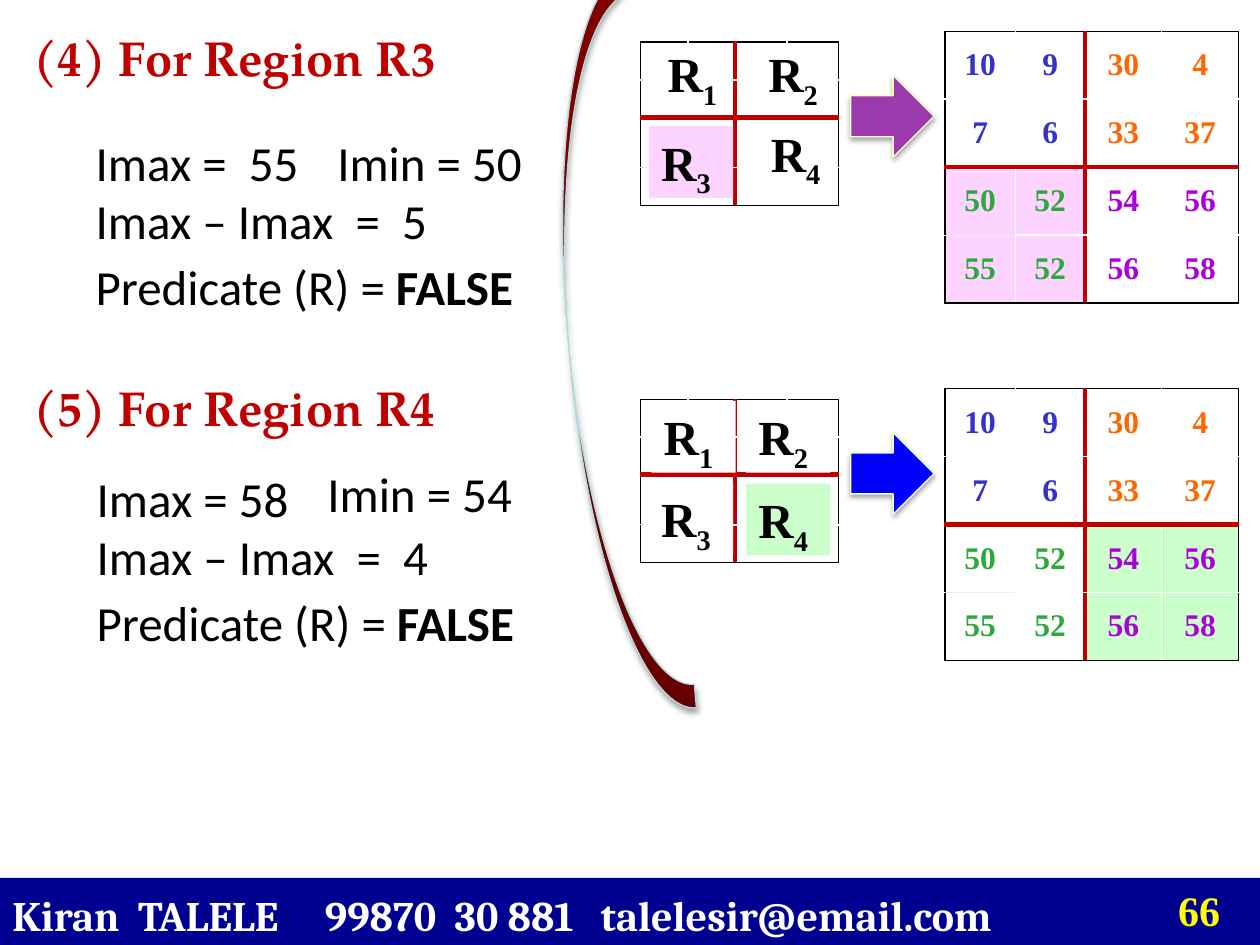
from dataclasses import dataclass
from itertools import product
from typing import Optional

from lxml.etree import SubElement
from pptx import Presentation
from pptx.dml.color import RGBColor
from pptx.enum.shapes import MSO_SHAPE
from pptx.enum.text import MSO_ANCHOR, MSO_AUTO_SIZE, PP_ALIGN
from pptx.oxml import parse_xml
from pptx.oxml.ns import nsdecls, qn
from pptx.util import Cm, Pt

HEAD = {"name": "TeX Gyre Pagella", "size": Pt(28), "bold": True}
BODY = {"name": "Calibri", "size": Pt(28), "bold": False}
STRONG = BODY | {"bold": True}
LABEL = {"name": "Times New Roman", "size": Pt(28), "bold": True}
CELL = LABEL | {"size": Pt(18)}
FOOT = {"name": "Cambria", "size": Pt(24), "bold": True}
PAGE = LABEL | {"size": Pt(24)}

RED, BLACK, WHITE, PALE = "C00000", "000000", "FFFFFF", "E3F2F3"
TINTS = (("3333CC", "FF6600"), ("2DA83C", "AB00DA"))
VALUES = ((10, 9, 30, 4), (7, 6, 33, 37), (50, 52, 54, 56), (55, 52, 56, 58))


@dataclass
class Line:
    text: str
    left: float
    top: float
    width: float
    height: float
    strong: str = ""


@dataclass
class Label:
    index: int
    left: float
    top: float
    fill: Optional[str] = None


@dataclass
class Panel:
    title: str
    head: float
    shift: float
    lines: list[Line]
    labels: list[Label]
    arrow: str
    glow: str
    half: int


def lines(left: float, top: float, high: str, gap: int) -> list[Line]:
    return [
        Line(f"Imax – Imax  =  {gap}", left, top + 1.48, 8.25, 1.07),
        Line("Predicate (R) = ", left, top + 2.75, 9.73, 1.19, "FALSE"),
        Line(f"Imax = {high}", left, top, 5.5, 1.7),
    ]


PANELS = (
    Panel("(4) For Region R3", 0.43, 0,
          lines(1.68, 2.41, " 55", 5) + [Line("Imin = 50", 6.55, 2.41, 4.88, 1.7)],
          [Label(2, 15.24, 0.76), Label(4, 15.29, 2.36),
           Label(3, 13.08, 2.54, "FDD3FF"), Label(1, 13.21, 0.76)],
          "9C39AC", "FDD3FF", 0),
    Panel("(5) For Region R4", 7.49, 7.2,
          lines(1.7, 9.19, "58", 4) + [Line("Imin = 54", 6.35, 9.09, 4.88, 1.7)],
          [Label(2, 15.04, 8.08, WHITE), Label(4, 15.04, 9.75, "CCFFCC"),
           Label(3, 13.08, 9.73, WHITE), Label(1, 13.13, 8.08, WHITE)],
          "0000FF", "CCFFCC", 1),
)


def paint(fill, tint: str) -> None:
    fill.solid()
    fill.fore_color.rgb = RGBColor.from_string(tint)


def assign(item, values: dict) -> None:
    for name, value in values.items():
        setattr(item, name, value)


def write(para, text: str, look: dict, tint: str):
    run = para.add_run()
    run.text = text
    assign(run.font, look)
    paint(run.font.fill, tint)
    return run


def frame(shape, anchor=MSO_ANCHOR.TOP):
    assign(shape.text_frame, {"word_wrap": True, "auto_size": MSO_AUTO_SIZE.NONE,
                              "vertical_anchor": anchor})
    para = shape.text_frame.paragraphs[0]
    para.alignment = PP_ALIGN.LEFT
    return para


def text_box(slide, left: float, top: float, width: float, height: float):
    return slide.shapes.add_textbox(Cm(left), Cm(top), Cm(width), Cm(height))


def solid(slide, kind, left: float, top: float, width: float, height: float, tint: str):
    shape = slide.shapes.add_shape(kind, Cm(left), Cm(top), Cm(width), Cm(height))
    shape.shadow.inherit = False
    paint(shape.fill, tint)
    shape.line.fill.background()
    return shape


def raise_up(shape, edge: str) -> None:
    paint(shape.line.fill, edge)
    shape.line.width = Pt(0.75)
    effects = shape._element.spPr.find(qn("a:effectLst"))
    effects.append(parse_xml(
        f'<a:outerShdw {nsdecls("a")} blurRad="40000" dist="23000" dir="5400000" '
        'rotWithShape="0"><a:srgbClr val="000000"><a:alpha val="35000"/>'
        '</a:srgbClr></a:outerShdw>'))


def edge(place: int) -> tuple[str, float]:
    return {0: (BLACK, 1), 2: (RED, 3), 4: (BLACK, 1)}.get(place, (WHITE, 1))


def border(cell, row: int, col: int) -> None:
    sides = {"L": edge(col), "R": edge(col + 1), "T": edge(row), "B": edge(row + 1)}
    if col == 0 and row > 1:
        sides["B" if row == 2 else "T"] = (PALE, 0.75)
    for side, (tint, width) in sides.items():
        cell._tc.get_or_add_tcPr().append(parse_xml(
            f'<a:ln{side} {nsdecls("a")} w="{Pt(width)}"><a:solidFill>'
            f'<a:srgbClr val="{tint}"/></a:solidFill></a:ln{side}>'))


def matrix(slide, left: float, top: float, cols: tuple, rows: tuple):
    table = slide.shapes.add_table(4, 4, Cm(left), Cm(top),
                                   Cm(sum(cols)), Cm(sum(rows))).table
    assign(table, {"first_row": False, "horz_banding": False})
    for item, width in zip(table.columns, cols):
        item.width = Cm(width)
    for item, height in zip(table.rows, rows):
        item.height = Cm(height)
    for row, col in product(range(4), repeat=2):
        border(table.cell(row, col), row, col)
    return table


def draw_values(slide, panel: Panel) -> None:
    table = matrix(slide, 19.05, 0.63 + panel.shift, (1.42, 1.4, 1.55, 1.55), (1.37,) * 4)
    for row, col in product(range(4), repeat=2):
        cell = table.cell(row, col)
        assign(cell, {"margin_left": Cm(0.18), "margin_right": Cm(0.18), "margin_top": 0,
                      "margin_bottom": 0, "vertical_anchor": MSO_ANCHOR.MIDDLE})
        lit = row > 1 and col // 2 == panel.half
        paint(cell.fill, panel.glow if lit else WHITE)
        para = cell.text_frame.paragraphs[0]
        para.alignment = PP_ALIGN.CENTER
        write(para, str(VALUES[row][col]), CELL, TINTS[row // 2][col // 2])


def draw_grid(slide, panel: Panel) -> None:
    table = matrix(slide, 12.91, 0.85 + panel.shift,
                   (0.96, 0.95, 1.04, 1.04), (0.76, 0.76, 1.01, 0.76))
    for cell in table.iter_cells():
        assign(cell, {"margin_top": 0, "margin_bottom": 0})
        cell.fill.background()
        SubElement(cell.text_frame.paragraphs[0]._p, qn("a:endParaRPr"), sz="600")


def draw_label(slide, label: Label) -> None:
    place = (label.left, label.top, 1.7, 1.45)
    if label.fill:
        shape = solid(slide, MSO_SHAPE.RECTANGLE, *place, label.fill)
    else:
        shape = text_box(slide, *place)
    para = frame(shape)
    write(para, "R", LABEL, BLACK)
    low = write(para, str(label.index), LABEL, BLACK)
    low._r.get_or_add_rPr().set("baseline", "-25000")


def draw_panel(slide, panel: Panel, title) -> None:
    assign(title, {"left": Cm(0.43), "top": Cm(panel.head),
                   "width": Cm(10.16), "height": Cm(1.45)})
    write(frame(title), panel.title, HEAD, RED)
    for line in panel.lines:
        box = text_box(slide, line.left, line.top, line.width, line.height)
        para = frame(box, MSO_ANCHOR.MIDDLE)
        write(para, line.text, BODY, BLACK)
        if line.strong:
            write(para, line.strong, STRONG, BLACK)
    draw_values(slide, panel)
    draw_grid(slide, panel)
    arrow = solid(slide, MSO_SHAPE.RIGHT_ARROW, 17.15, 1.52 + panel.shift,
                  1.68, 1.65, panel.arrow)
    raise_up(arrow, "F5FFC2")
    for label in panel.labels:
        draw_label(slide, label)


def draw_curve(slide) -> None:
    curve = solid(slide, MSO_SHAPE.CURVED_RIGHT_ARROW, 11.46, -0.58, 1.93, 14.96, "800000")
    for place, value in enumerate((0.25, 0.247, 0.219)):
        curve.adjustments[place] = value
    curve.rotation = 175
    curve._element.spPr.xfrm.set("flipH", "1")
    raise_up(curve, "B5DADD")


def draw_foot(slide) -> None:
    bar = solid(slide, MSO_SHAPE.RECTANGLE, 0, 17.7, 25.4, 1.47, "000090")
    assign(bar.text_frame, {"margin_top": 0, "margin_bottom": 0})
    para = frame(bar, MSO_ANCHOR.MIDDLE)
    tabs = SubElement(para._p.get_or_add_pPr(), qn("a:tabLst"))
    for stop in (6.3, 11.86):
        SubElement(tabs, qn("a:tab"), pos=str(Cm(stop)), algn="l")
    write(para, "Kiran  TALELE\t99870  30 881\ttalelesir@email.com", FOOT, WHITE)
    write(frame(text_box(slide, 23.5, 17.7, 1.7, 1.55)), "66", PAGE, "FFFF00")


def main() -> None:
    deck = Presentation()
    assign(deck, {"slide_width": Cm(25.4), "slide_height": Cm(19.05)})
    slide = deck.slides.add_slide(deck.slide_layouts[5])
    first, second = PANELS
    draw_panel(slide, first, slide.shapes.title)
    draw_panel(slide, second, text_box(slide, 0, 0, 1, 1))
    draw_curve(slide)
    draw_foot(slide)
    deck.save("out.pptx")


if __name__ == "__main__":
    main()
